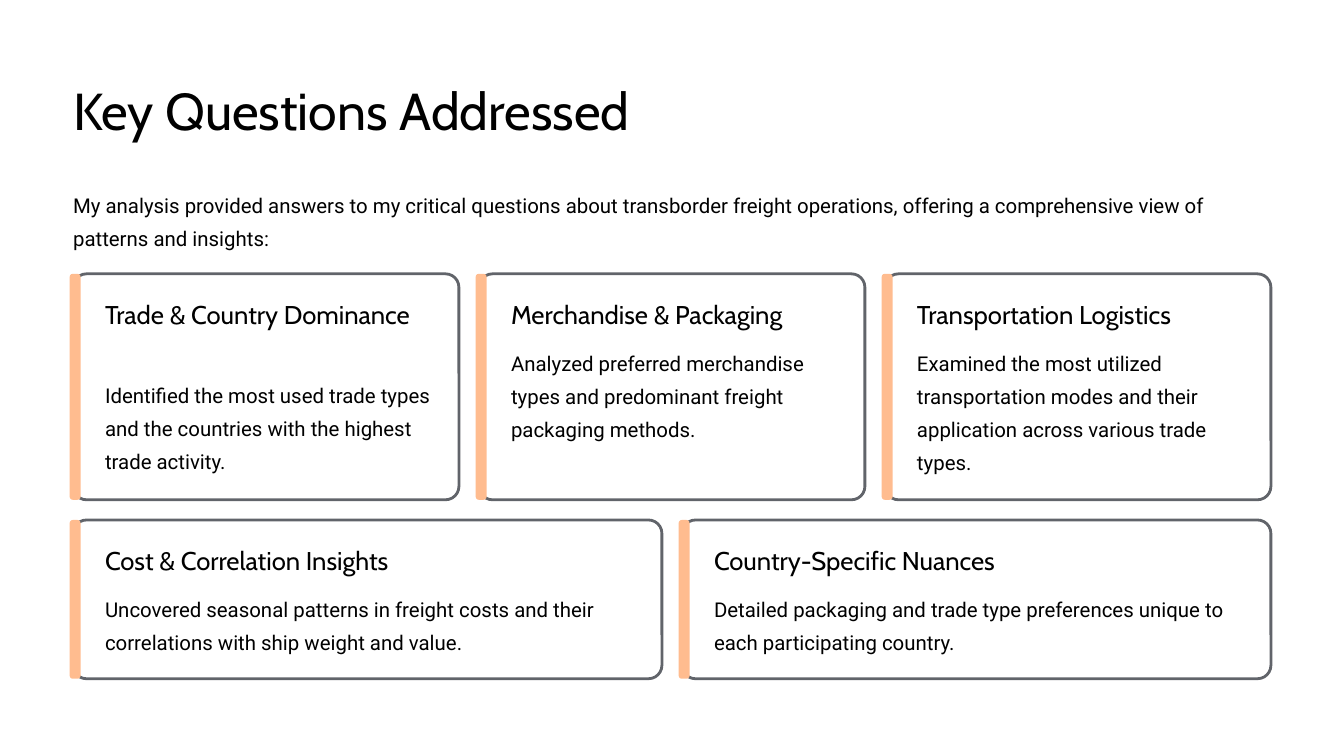
from pptx import Presentation
from pptx.dml.color import RGBColor
from pptx.enum.shapes import MSO_SHAPE
from pptx.util import Inches, Pt

TITLE = "Key Questions Addressed"
INTRO = ("My analysis provided answers to my critical questions about transborder freight "
         "operations, offering a comprehensive view of patterns and insights:")
# Each row: top, height, cards as (heading, heading lines, answer, answer lines)
ROWS = [
    (3.26, 2.69, [
        ("Trade & Country Dominance", 2,
         "Identified the most used trade types and the countries with the highest "
         "trade activity.", 3),
        ("Merchandise & Packaging", 1,
         "Analyzed preferred merchandise types and predominant freight "
         "packaging methods.", 3),
        ("Transportation Logistics", 1,
         "Examined the most utilized transportation modes and their application "
         "across various trade types.", 4),
    ]),
    (6.19, 1.89, [
        ("Cost & Correlation Insights", 1,
         "Uncovered seasonal patterns in freight costs and their correlations "
         "with ship weight and value.", 2),
        ("Country-Specific Nuances", 1,
         "Detailed packaging and trade type preferences unique to each "
         "participating country.", 2),
    ]),
]
COLORS = {"text": "000000", "card": "FFFFFF", "border": "61646A", "accent": "FFBC8F"}
STYLES = {
    "title": {"name": "Cabin", "size": Pt(44.5), "leading": 55.5},
    "heading": {"name": "Cabin", "size": Pt(22), "leading": 27.5},
    "body": {"name": "Roboto", "size": Pt(17.5), "leading": 28.5},
}
LEFT, WIDTH, GAP = 0.87, 14.26, 0.24
PAD_X, PAD_Y, HEADING_GAP = 0.38, 0.28, 0.15
RADIUS, BAR_WIDTH, BAR_SHIFT = 0.16, 0.13, 0.04

deck = Presentation()
deck.slide_width, deck.slide_height = Inches(16), Inches(9)
slide = deck.slides.add_slide(deck.slide_layouts[6])


def rgb(name):
    return RGBColor.from_string(COLORS[name])


def add_text(text, style, left, top, width, lines=1, wrap=True):
    """Place a text block and return its bottom edge."""
    look = dict(STYLES[style])
    leading = look.pop("leading")
    height = lines * leading / 72
    frame = slide.shapes.add_textbox(
        Inches(left), Inches(top), Inches(width), Inches(height)).text_frame
    for side in ("left", "top", "right", "bottom"):
        setattr(frame, f"margin_{side}", 0)
    frame.word_wrap = wrap
    line = frame.paragraphs[0]
    line.line_spacing = Pt(leading)
    run = line.add_run()
    run.text = text
    for key, value in look.items():
        setattr(run.font, key, value)
    run.font.color.rgb = rgb("text")
    return top + height


def add_panel(left, top, width, height, fill, adjust, border=None):
    panel = slide.shapes.add_shape(
        MSO_SHAPE.ROUNDED_RECTANGLE, Inches(left), Inches(top), Inches(width), Inches(height))
    panel.shadow.inherit = False
    panel.adjustments[0] = adjust
    panel.fill.solid()
    panel.fill.fore_color.rgb = rgb(fill)
    if border:
        panel.line.color.rgb = rgb(border)
        panel.line.width = Pt(2.4)
    else:
        panel.line.fill.background()


# Title and introduction
add_text(TITLE, "title", LEFT, 0.91, 7.24, wrap=False)
add_text(INTRO, "body", LEFT, 2.19, WIDTH, lines=2)

# Cards share each row's width equally
for top, height, cards in ROWS:
    card_width = (WIDTH - GAP * (len(cards) - 1)) / len(cards)
    for column, (heading, heading_lines, answer, answer_lines) in enumerate(cards):
        left = LEFT + column * (card_width + GAP)
        add_panel(left, top, card_width, height, "card", RADIUS / height, "border")
        add_panel(left - BAR_SHIFT, top, BAR_WIDTH, height, "accent", 0.28)
        text_left, text_width = left + PAD_X, card_width - 0.66
        bottom = add_text(heading, "heading", text_left, top + PAD_Y, text_width,
                          heading_lines, wrap=heading_lines > 1)
        add_text(answer, "body", text_left, bottom + HEADING_GAP, text_width, answer_lines)

deck.save("out.pptx")
